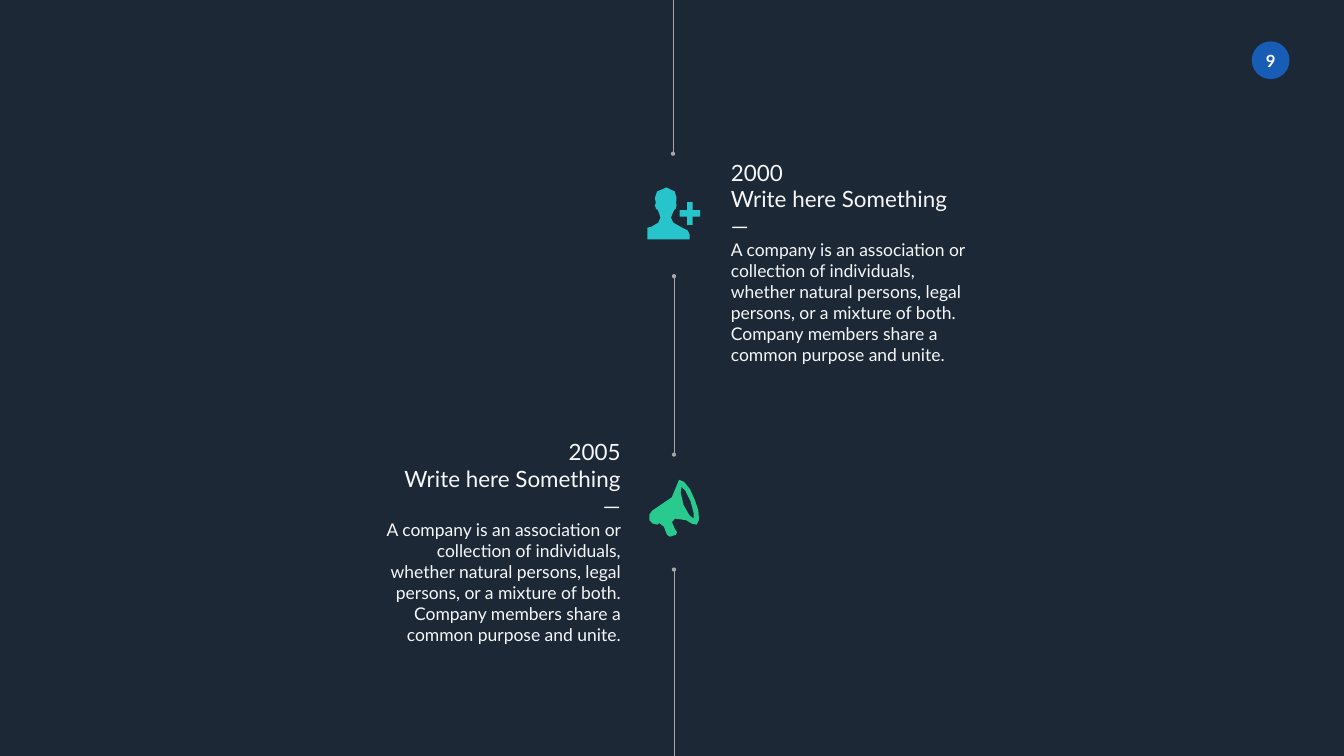
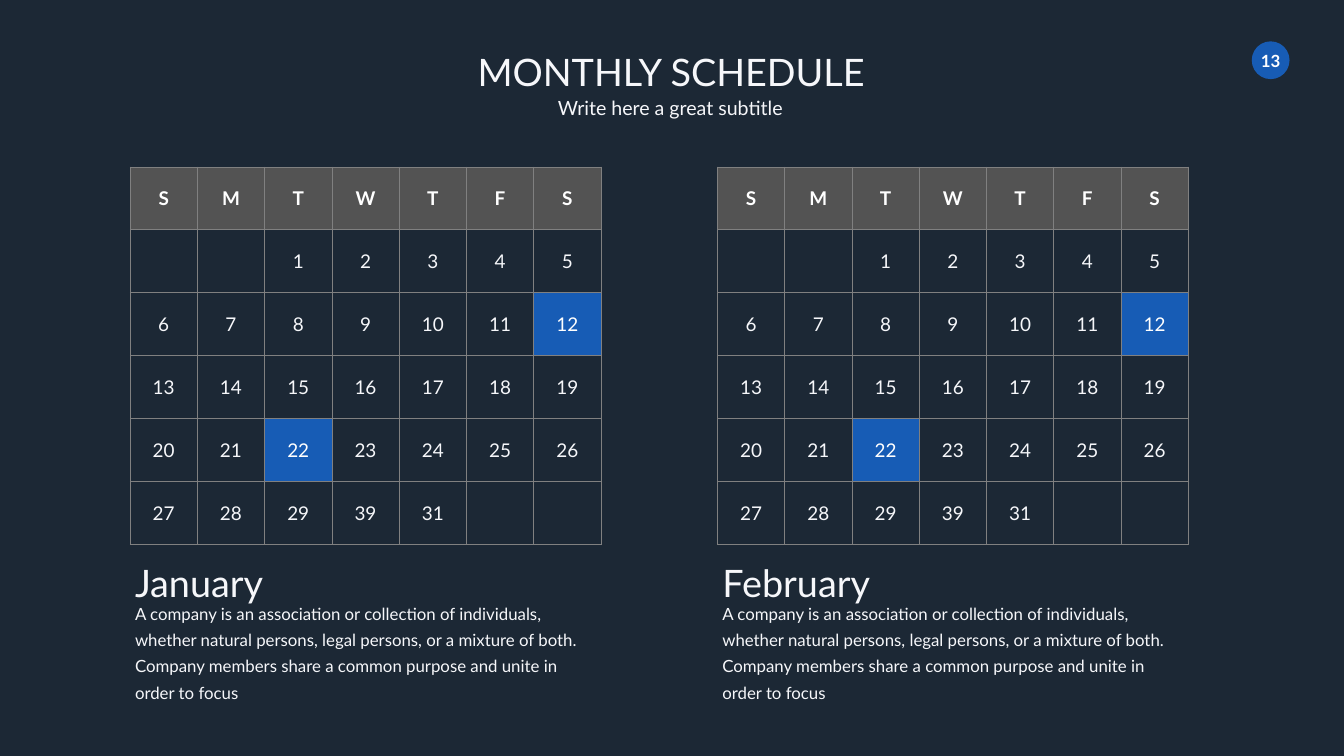
"""Build a dark timeline slide and a two-month schedule slide."""
import math

import lxml.etree
import pptx
import pptx.dml.color
import pptx.enum.shapes
import pptx.enum.text
import pptx.oxml.ns
import pptx.util

Inches = pptx.util.Inches
Pt = pptx.util.Pt
qn = pptx.oxml.ns.qn
ALIGN = pptx.enum.text.PP_ALIGN
ANCHOR = pptx.enum.text.MSO_ANCHOR

COLORS = {
    "background": "1C2835", "accent": "175CB5", "white": "FFFFFF",
    "text": "F6F7FA", "header": "535353", "border": "808080",
    "line": "A6A6A6", "cyan": "27C5CB", "green": "28CB8D",
}
COMPANY = ("A company is an association or collection of individuals, whether natural "
           "persons, legal persons, or a mixture of both. Company members share a "
           "common purpose and unite")
INSET = (0.1, 0.05)
TITLE_INSET = (0.27, 0.13)

PERSON = [
    [(13.5, 4.5), (13.37, 4.44, 13.31, 4.4, 13.31, 4.32),
     (13.31, 4.25, 13.35, 4.27, 13.37, 4.17), (13.39, 4.13, 13.42, 4.17, 13.42, 4.07),
     (13.41, 4.03), (13.42, 3.93),
     (13.42, 3.86, 13.39, 3.72, 13.22, 3.72), (13.03, 3.72, 12.99, 3.86, 12.99, 3.93),
     (13.01, 4.03), (12.99, 4.07),
     (12.99, 4.17, 13.03, 4.13, 13.05, 4.17), (13.07, 4.27, 13.1, 4.25, 13.1, 4.32),
     (13.1, 4.4, 13.05, 4.44, 12.92, 4.5), (12.84, 4.52),
     (12.84, 4.75), (13.68, 4.75), (13.68, 4.65), (13.68, 4.6, 13.63, 4.54, 13.5, 4.5)],
    [(13.74, 4.17), (13.74, 4.01), (13.63, 4.01), (13.63, 4.17), (13.48, 4.17),
     (13.48, 4.3), (13.63, 4.3), (13.63, 4.46), (13.74, 4.46), (13.74, 4.3),
     (13.89, 4.3), (13.89, 4.17)],
]
MEGAPHONE = [
    [(13.78, 9.91), (13.7, 9.68, 13.56, 9.5, 13.47, 9.52),
     (13.35, 9.59, 13.56, 9.86, 12.94, 10.13), (12.88, 10.16, 12.86, 10.25, 12.88, 10.32),
     (12.9, 10.36, 12.98, 10.43, 13.04, 10.41), (13.08, 10.38), (13.17, 10.45),
     (13.23, 10.61), (13.29, 10.65), (13.41, 10.61), (13.43, 10.56), (13.39, 10.5),
     (13.33, 10.36), (13.39, 10.29),
     (13.68, 10.27, 13.72, 10.45, 13.82, 10.41), (13.89, 10.38, 13.89, 10.13, 13.78, 9.91)],
    [(13.76, 10.29), (13.74, 10.29, 13.62, 10.2, 13.56, 10.02),
     (13.49, 9.84, 13.49, 9.66, 13.52, 9.66), (13.54, 9.66, 13.64, 9.77, 13.7, 9.95),
     (13.78, 10.13, 13.76, 10.27, 13.76, 10.29)],
]


def rgb(name):
    return pptx.dml.color.RGBColor.from_string(COLORS[name])


def flatten(contour):
    points = [contour[0]]
    for seg in contour[1:]:
        if len(seg) == 2:
            points.append(seg)
            continue
        ends = [points[-1], seg[:2], seg[2:4], seg[4:]]
        steps = 3 if math.dist(ends[0], ends[3]) > 0.4 else 2
        for i in range(1, steps + 1):
            t = i / steps
            weights = ((1 - t) ** 3, 3 * t * (1 - t) ** 2, 3 * t * t * (1 - t), t ** 3)
            points.append(tuple(sum(w * e[k] for w, e in zip(weights, ends))
                                for k in (0, 1)))
    outline = [(Inches(x), Inches(y)) for x, y in points]
    return outline[:-1] if outline[-1] == outline[0] else outline


class Deck:
    def __init__(self):
        self.prs = pptx.Presentation()
        self.prs.slide_width, self.prs.slide_height = Inches(26.66), Inches(15)
        self.s = None

    def slide(self, number):
        self.s = self.prs.slides.add_slide(self.prs.slide_layouts[6])
        self.s.background.fill.solid()
        self.s.background.fill.fore_color.rgb = rgb("background")
        oval = pptx.enum.shapes.MSO_SHAPE.OVAL
        sp = self.s.shapes.add_shape(oval, *map(Inches, (24.83, 0.82, 0.75, 0.75)))
        self.paint(sp, "accent")
        self.text((24.8, 0.9, 0.81, 0.61), [(str(number), 24)], align=ALIGN.CENTER,
                  inset=(0.2, 0.1), color="white", bold=True, wrap=False)

    def paint(self, sp, color):
        sp.shadow.inherit = False
        sp.fill.solid()
        sp.fill.fore_color.rgb = rgb(color)
        sp.line.fill.background()

    def run(self, p, text, size, color="text", bold=False):
        r = p.add_run()
        r.text = text
        r.font.name, r.font.size, r.font.bold = "Lato", Pt(size), bold
        r.font.color.rgb = rgb(color)

    def text(self, box, lines, align=ALIGN.LEFT, anchor=ANCHOR.TOP, inset=INSET,
             color="text", bold=False, wrap=True, spacing=None):
        tf = self.s.shapes.add_textbox(*map(Inches, box)).text_frame
        tf.word_wrap = wrap
        tf.auto_size = pptx.enum.text.MSO_AUTO_SIZE.SHAPE_TO_FIT_TEXT
        tf.vertical_anchor = anchor
        tf.margin_left = tf.margin_right = Inches(inset[0])
        tf.margin_top = tf.margin_bottom = Inches(inset[1])
        for i, (text, size) in enumerate(lines):
            p = tf.paragraphs[0] if i == 0 else tf.add_paragraph()
            p.alignment = align
            if spacing:
                p.line_spacing = spacing
            self.run(p, text, size, color, bold)

    def line(self, x, start, end, dots):
        straight = pptx.enum.shapes.MSO_CONNECTOR.STRAIGHT
        sp = self.s.shapes.add_connector(
            straight, *map(Inches, (x, start, x, end)))
        sp.line.color.rgb = rgb("line")
        sp.line.width = Pt(0.5)
        ln = sp._element.spPr.find(qn("a:ln"))
        for tag in dots:
            lxml.etree.SubElement(ln, qn(tag), type="oval")
        lxml.etree.SubElement(sp._element.spPr, qn("a:effectLst"))

    def icon(self, contours, color):
        outlines = [flatten(c) for c in contours]
        builder = self.s.shapes.build_freeform(*outlines[0][0], scale=1.0)
        for i, points in enumerate(outlines):
            if i:
                builder.move_to(*points[0])
            builder.add_line_segments(points[1:], close=True)
        self.paint(builder.convert_to_shape(), color)

    def borders(self, cell):
        tcPr = cell._tc.get_or_add_tcPr()
        for side in "LRTB":
            ln = lxml.etree.SubElement(tcPr, qn(f"a:ln{side}"), w=str(Pt(1)))
            fill = lxml.etree.SubElement(ln, qn("a:solidFill"))
            lxml.etree.SubElement(fill, qn("a:srgbClr"), val=COLORS["border"])

    def calendar(self, x, y, rows, marked):
        size = map(Inches, (x, y, 9.34, 7.49))
        table = self.s.shapes.add_table(len(rows), len(rows[0]), *size).table
        table.first_row = table.horz_banding = False
        for i, row in enumerate(rows):
            for j, text in enumerate(row):
                cell = table.cell(i, j)
                self.borders(cell)
                cell.vertical_anchor = ANCHOR.MIDDLE
                cell.margin_left = cell.margin_right = Inches(0.11)
                cell.margin_top = cell.margin_bottom = Inches(0.06)
                fill = "header" if i == 0 else "accent" if text in marked else None
                if fill:
                    cell.fill.solid()
                    cell.fill.fore_color.rgb = rgb(fill)
                else:
                    cell.fill.background()
                if text:
                    p = cell.text_frame.paragraphs[0]
                    p.alignment = ALIGN.CENTER
                    self.run(p, text, 27, "white" if fill else "text", i == 0)


def timeline(deck):
    deck.slide(9)
    head, tail = "a:headEnd", "a:tailEnd"
    deck.line(13.37, 11.3, 15, [head])
    deck.line(13.37, 5.48, 9.02, [head, tail])
    deck.line(13.35, 3.05, 0, [head])
    deck.icon(PERSON, "cyan")
    deck.icon(MEGAPHONE, "green")
    for year, x, y, align in (("2005", 7.52, 8.64, ALIGN.RIGHT),
                              ("2000", 14.4, 3.1, ALIGN.LEFT)):
        deck.text((x, y, 4.89, 4.24),
                  [(year, 32), ("Write here Something", 32), ("—", 32),
                   (COMPANY + ".", 25)], align)


def schedule(deck):
    deck.slide(13)
    days = ["", ""] + [str(d) for d in range(1, 32)] + ["", ""]
    days[days.index("30")] = "39"
    rows = [list("SMTWTFS")] + [days[i:i + 7] for i in range(0, len(days), 7)]
    for month, x in (("January", 2.58), ("February", 14.23)):
        deck.calendar(x, 3.31, rows, ("12", "22"))
        deck.text((x, 11.09, 9.34, 0.91), [(month, 54)],
                  anchor=ANCHOR.MIDDLE, inset=(0.1, 0))
        deck.text((x, 12.07, 9.34, 1.66), [(COMPANY + " in order to focus", 24)],
                  anchor=ANCHOR.MIDDLE, spacing=1.3)
    for box, text, size in (
            ((8.15, 0.83, 10.33, 1.18), "MONTHLY SCHEDULE", 54),
            ((8.18, 1.76, 10.33, 0.74), "Write here a great subtitle ", 28)):
        deck.text(box, [(text, size)], ALIGN.CENTER, ANCHOR.MIDDLE, TITLE_INSET)


def main():
    deck = Deck()
    timeline(deck)
    schedule(deck)
    deck.prs.save("out.pptx")


if __name__ == "__main__":
    main()
